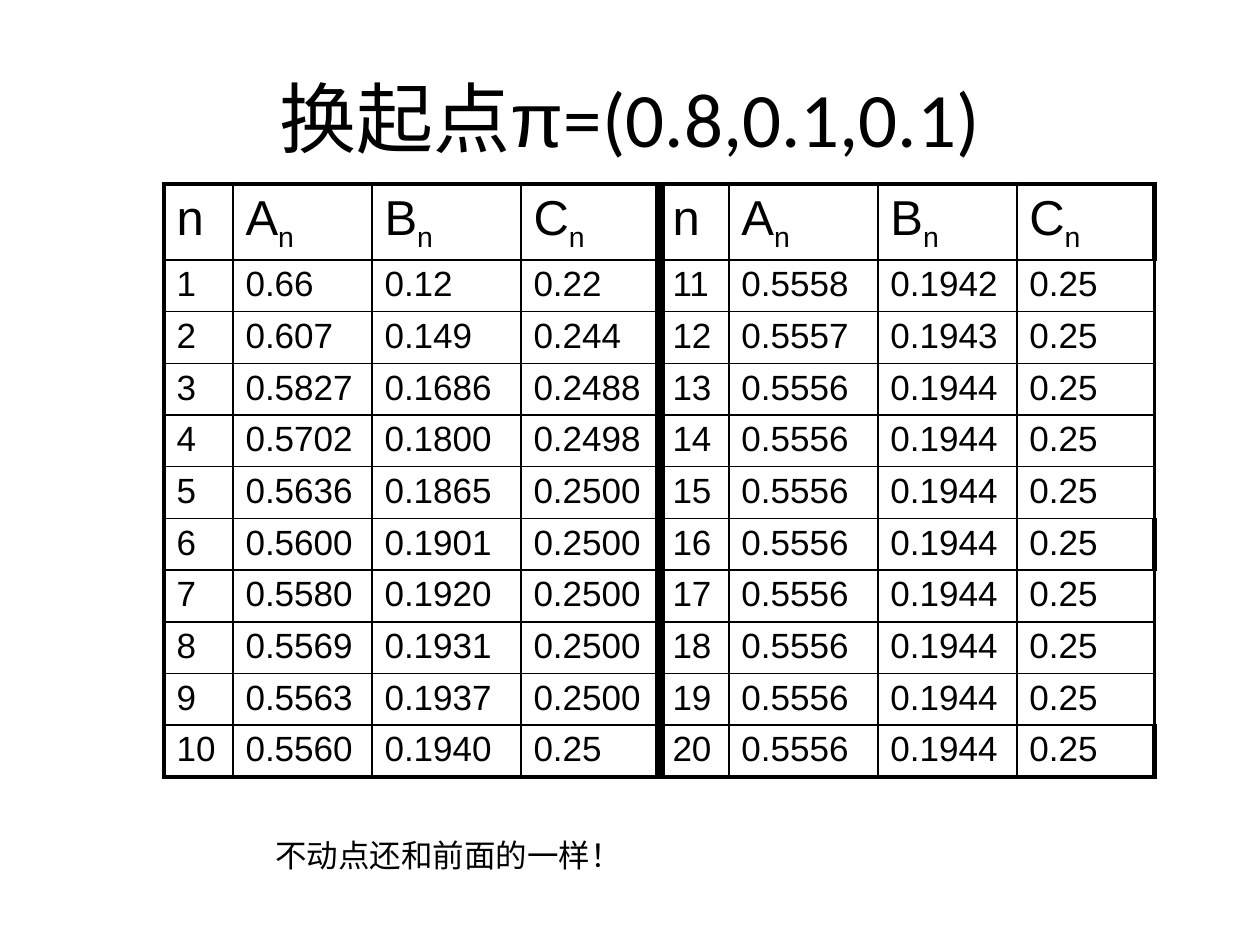
from typing import NamedTuple

from lxml.etree import SubElement
from pptx import Presentation
from pptx.dml.color import RGBColor
from pptx.enum.text import MSO_ANCHOR as Anchor, PP_ALIGN as Align
from pptx.oxml.ns import qn
from pptx.util import Emu, Pt

PX_PER_INCH = 126
BLACK = "000000"
THIN, RIGHT_SIDE, OUTER, DIVIDER = 1, 2.25, 3, 6


class Span(NamedTuple):
    text: str
    size: int
    font: str
    subscript: bool = False


class TextBox(NamedTuple):
    left: int
    top: int
    width: int
    height: int
    spans: list[Span]
    align: Align = Align.LEFT
    anchor: Anchor = Anchor.TOP


TITLE = TextBox(63, 38, 1134, 157, [
    Span("换起点", 44, "Calibri"),
    Span("π", 44, "Arial"),
    Span("=(0.8,0.1,0.1)", 44, "Calibri"),
], Align.CENTER, Anchor.MIDDLE)
NOTE = TextBox(263, 830, 674, 50, [Span("不动点还和前面的一样！", 18, "Calibri")])

TABLE_LEFT, TABLE_TOP = 164, 184
COLUMN_WIDTHS = [69, 139, 149, 139, 69, 149, 139, 138]
HEADER_HEIGHT, BODY_HEIGHT = 76, 517
HEADER = ["n", "A", "B", "C"] * 2
STEPS = [
    ("0.66", "0.12", "0.22"),
    ("0.607", "0.149", "0.244"),
    ("0.5827", "0.1686", "0.2488"),
    ("0.5702", "0.1800", "0.2498"),
    ("0.5636", "0.1865", "0.2500"),
    ("0.5600", "0.1901", "0.2500"),
    ("0.5580", "0.1920", "0.2500"),
    ("0.5569", "0.1931", "0.2500"),
    ("0.5563", "0.1937", "0.2500"),
    ("0.5560", "0.1940", "0.25"),
    ("0.5558", "0.1942", "0.25"),
    ("0.5557", "0.1943", "0.25"),
] + [("0.5556", "0.1944", "0.25")] * 8
HALF = len(STEPS) // 2
HEAVY_END_ROWS = (0, 6, HALF)


def px(length: int) -> Emu:
    return Emu(round(length * 914400 / PX_PER_INCH))


def color(value: str) -> RGBColor:
    return RGBColor.from_string(value)


def add_spans(para, spans: list[Span]) -> None:
    for span in spans:
        run = para.add_run()
        run.text = span.text
        run.font.size = Pt(span.size)
        run.font.name = span.font
        run.font.color.rgb = color(BLACK)
        if span.subscript:
            run.font._element.set("baseline", "-25000")


def add_text_box(page, box: TextBox) -> None:
    shape = page.shapes.add_textbox(*map(px, box[:4]))
    frame = shape.text_frame
    frame.word_wrap = True
    frame.vertical_anchor = box.anchor
    para = frame.paragraphs[0]
    para.alignment = box.align
    add_spans(para, box.spans)


def set_borders(cell, widths: dict[str, float]) -> None:
    """Draw solid borders; widths are in points, keyed by side in L, R, T, B order."""
    properties = cell._tc.get_or_add_tcPr()
    for index, (side, width) in enumerate(widths.items()):
        line = SubElement(properties, qn(f"a:ln{side}"), w=str(Pt(width)))
        fill = SubElement(line, qn("a:solidFill"))
        SubElement(fill, qn("a:srgbClr"), val=BLACK)
        properties.insert(index, line)


def cell_spans(row: int, column: int) -> list[Span]:
    half, field = divmod(column, 4)
    if row == 0:
        spans = [Span(HEADER[column], 28, "Arial")]
        return spans + [Span("n", 28, "Arial", True)] if field else spans
    step = row + half * HALF
    text = STEPS[step - 1][field - 1] if field else str(step)
    return [Span(text, 20, "Arial")]


def add_iteration_table(page) -> None:
    row_count, column_count = HALF + 1, len(COLUMN_WIDTHS)
    table = page.shapes.add_table(
        row_count, column_count, px(TABLE_LEFT), px(TABLE_TOP),
        px(sum(COLUMN_WIDTHS)), px(HEADER_HEIGHT + BODY_HEIGHT)).table
    table.first_row = table.horz_banding = False
    for column, width in zip(table.columns, COLUMN_WIDTHS):
        column.width = px(width)
    horizontal = [OUTER] + [THIN] * HALF + [OUTER]
    for r, row in enumerate(table.rows):
        row.height = px(HEADER_HEIGHT) if r == 0 else px(BODY_HEIGHT) // HALF
        end = OUTER if r in HEAVY_END_ROWS else RIGHT_SIDE
        vertical = [OUTER, THIN, THIN, THIN, DIVIDER, THIN, THIN, THIN, end]
        for c, cell in enumerate(row.cells):
            cell.fill.background()
            cell.margin_top = px(7 if r == 0 else 5)
            cell.margin_bottom = px(0)
            set_borders(cell, {"L": vertical[c], "R": vertical[c + 1],
                               "T": horizontal[r], "B": horizontal[r + 1]})
            add_spans(cell.text_frame.paragraphs[0], cell_spans(r, c))


def main() -> None:
    deck = Presentation()
    deck.slide_width, deck.slide_height = px(1260), px(945)
    page = deck.slides.add_slide(deck.slide_layouts[6])
    add_text_box(page, TITLE)
    add_iteration_table(page)
    add_text_box(page, NOTE)
    deck.save("out.pptx")


if __name__ == "__main__":
    main()
